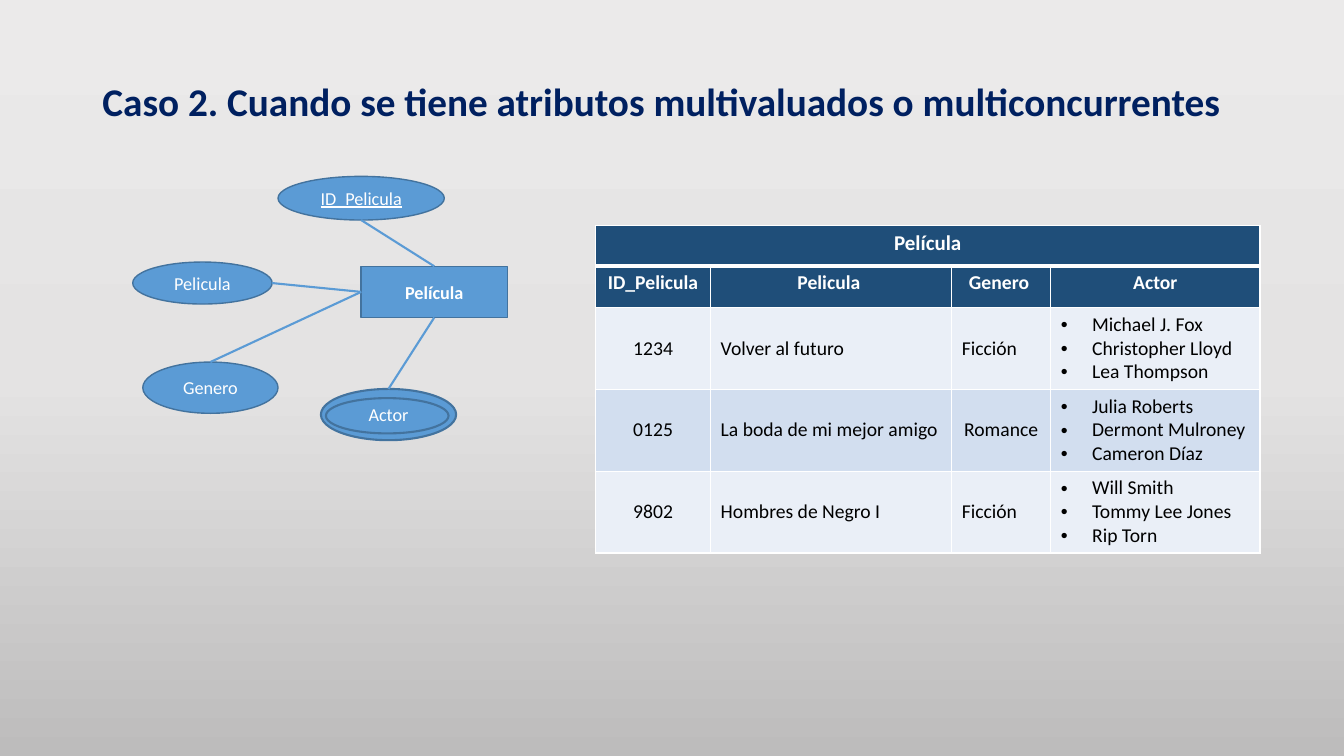
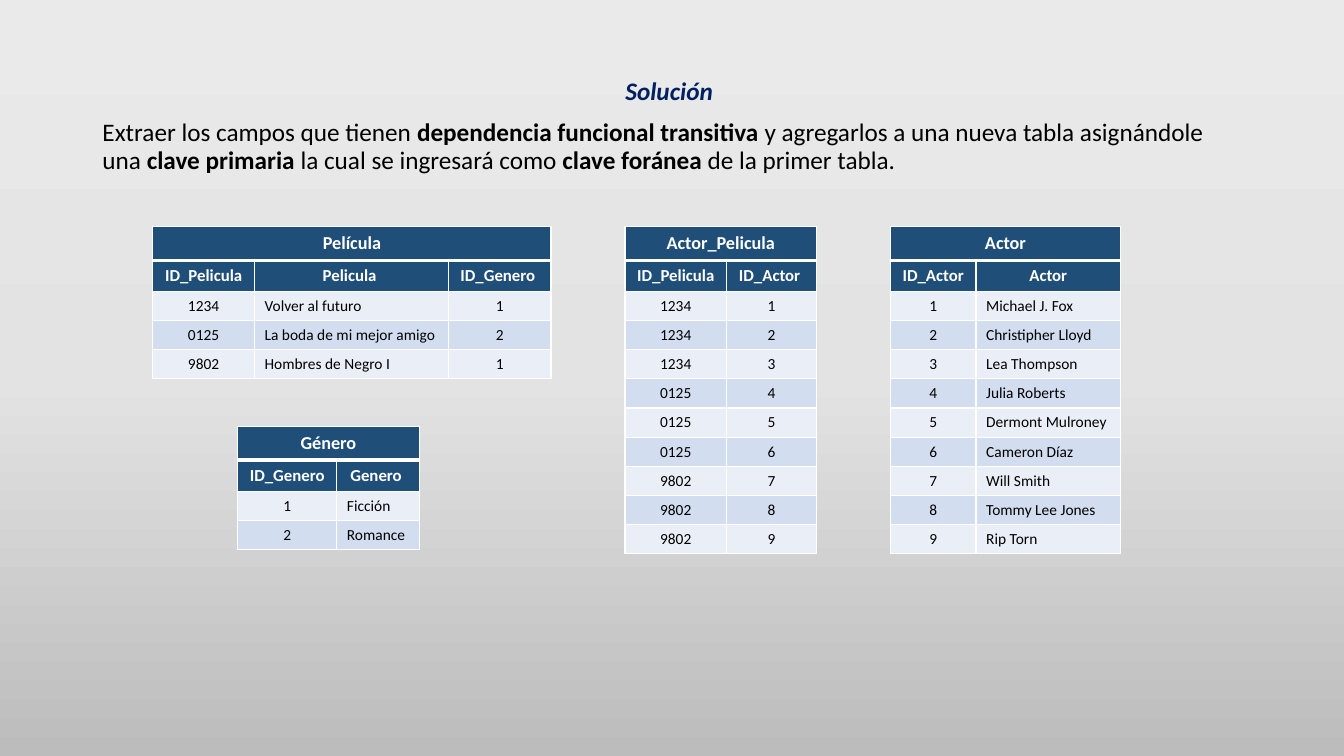
import dataclasses
import typing

import lxml.etree
import pptx
import pptx.dml.color
import pptx.enum.shapes
import pptx.enum.text
import pptx.oxml.ns
import pptx.util

qn = pptx.oxml.ns.qn
Pt = pptx.util.Pt
Shape = pptx.enum.shapes.MSO_SHAPE
Align = pptx.enum.text.PP_ALIGN
Anchor = pptx.enum.text.MSO_ANCHOR

# Shared look: a grid of 160 columns by 90 rows, colours and type
UNIT = pptx.util.Inches(13.33) / 160
SLIDE_COLUMNS, SLIDE_ROWS = 160, 90
FONT = "Calibri"
COLOURS = {
    "title": "002060", "text": "000000", "white": "FFFFFF",
    "shape": "5B9BD5", "outline": "43739E",
    "header": "1F4E79", "odd": "EAEFF7", "even": "D2DEEF",
}
BACKGROUND_STOPS = {0: "EBEAEA", 50: "E4E3E3", 100: "BDBCBC"}
TEXT_AREA_LEFT, TEXT_AREA_WIDTH, TEXT_AREA_HEIGHT = 11, 138, 15.2
PARAGRAPH = {"line_spacing": 0.9, "space_before": Pt(0)}
BULLET_INDENT = pptx.util.Inches(0.31)


@dataclasses.dataclass(frozen=True)
class Node:
    text: str
    column: float
    row: float
    columns: float
    rows: float
    shape: Shape = Shape.OVAL
    line: float = 1
    filled: bool = True
    font: dict = dataclasses.field(default_factory=dict)

    def side(self, name: str) -> tuple[float, float]:
        across, down = {"top": (0.5, 0), "left": (0, 0.5),
                        "bottom": (0.5, 1), "right": (1, 0.5)}[name]
        return self.column + across * self.columns, self.row + down * self.rows


class TableStyle(typing.NamedTuple):
    title_size: int
    header_size: int
    body_size: int
    title_rows: float
    header_rows: float
    body_rows: float


@dataclasses.dataclass(frozen=True)
class Grid:
    """A titled table; one letter per column sets body alignment."""
    title: str
    column: float
    row: float
    widths: tuple
    alignment: str
    headers: tuple
    body: tuple
    centred: tuple = ()


def units(*lengths: float) -> list[int]:
    return [round(length * UNIT) for length in lengths]


def rgb(name: str) -> pptx.dml.color.RGBColor:
    return pptx.dml.color.RGBColor.from_string(COLOURS[name])


def set_all(target: typing.Any, values: dict) -> None:
    for name, value in values.items():
        setattr(target, name, value)


def set_font(font: typing.Any, size: float, colour: str, **flags: bool) -> None:
    set_all(font, {"name": FONT, "size": Pt(size), **flags})
    font.color.rgb = rgb(colour)


def place(box: typing.Any, *area: float) -> None:
    set_all(box, dict(zip(("left", "top", "width", "height"), units(*area))))


# Background on the master
def paint_background(deck: typing.Any) -> None:
    fill = deck.slide_master.background.fill
    fill.gradient()
    fill.gradient_angle = 270
    stops = deck.slide_master.element.find(".//" + qn("a:gsLst"))
    for stop in list(stops):
        stops.remove(stop)
    for percent, colour in BACKGROUND_STOPS.items():
        stop = lxml.etree.SubElement(stops, qn("a:gs"), pos=str(percent * 1000))
        lxml.etree.SubElement(stop, qn("a:srgbClr"), val=colour)


# Entity diagram
def draw_node(page: typing.Any, node: Node) -> None:
    box = page.shapes.add_shape(
        node.shape, *units(node.column, node.row, node.columns, node.rows))
    box.shadow.inherit = False
    box.line.color.rgb = rgb("outline")
    box.line.width = Pt(node.line)
    if node.filled:
        box.fill.solid()
        box.fill.fore_color.rgb = rgb("shape")
    else:
        box.fill.background()
    if node.text:
        box.text_frame.vertical_anchor = Anchor.MIDDLE
        para = box.text_frame.paragraphs[0]
        para.alignment = Align.CENTER
        span = para.add_run()
        span.text = node.text
        set_font(span.font, 13, "white", **node.font)


def draw_link(page: typing.Any, start: tuple, end: tuple) -> None:
    link = page.shapes.add_connector(
        pptx.enum.shapes.MSO_CONNECTOR.STRAIGHT, *units(*start, *end))
    link.line.color.rgb = rgb("shape")
    link.line.width = Pt(1.5)
    lxml.etree.SubElement(link._element.spPr, qn("a:effectLst"))


# Tables
def add_bullet(para: typing.Any) -> None:
    properties = para._p.get_or_add_pPr()
    properties.set("marL", str(BULLET_INDENT))
    properties.set("indent", str(-BULLET_INDENT))
    lxml.etree.SubElement(properties, qn("a:buFont"), typeface="Arial")
    lxml.etree.SubElement(properties, qn("a:buChar"), char="•")


def paint_cell(cell: typing.Any, fill: str, bottom: float = 1) -> None:
    properties = cell._tc.get_or_add_tcPr()
    for edge, width in {"L": 1, "R": 1, "T": 1, "B": bottom}.items():
        line = lxml.etree.SubElement(
            properties, qn("a:ln" + edge), w=str(Pt(width)))
        solid = lxml.etree.SubElement(line, qn("a:solidFill"))
        lxml.etree.SubElement(solid, qn("a:srgbClr"), val=COLOURS["white"])
    cell.fill.solid()
    cell.fill.fore_color.rgb = rgb(fill)


def write_cell(cell: typing.Any, content: str | tuple, size: float, colour: str,
               centred: bool, bold: bool) -> None:
    bulleted = isinstance(content, tuple)
    for index, text in enumerate(content if bulleted else (content,)):
        frame = cell.text_frame
        para = frame.add_paragraph() if index else frame.paragraphs[0]
        if bulleted:
            add_bullet(para)
        para.alignment = Align.CENTER if centred else Align.LEFT
        span = para.add_run()
        span.text = text
        set_font(span.font, size, colour, bold=bold)


def draw_table(page: typing.Any, grid: Grid, style: TableStyle) -> None:
    heights = [style.title_rows, style.header_rows]
    heights += [style.body_rows] * len(grid.body)
    frame = page.shapes.add_table(
        len(heights), len(grid.widths),
        *units(grid.column, grid.row, sum(grid.widths), sum(heights)))
    table = frame.table
    set_all(table, {"first_row": False, "horz_banding": False})
    for column, width in zip(table.columns, units(*grid.widths)):
        column.width = width
    for row, height in zip(table.rows, units(*heights)):
        row.height = height

    for index in range(len(grid.widths)):
        paint_cell(table.cell(0, index), "header", bottom=3)
    table.cell(0, 0).merge(table.cell(0, len(grid.widths) - 1))
    write_cell(table.cell(0, 0), grid.title, style.title_size, "white", True, True)
    for index, header in enumerate(grid.headers):
        cell = table.cell(1, index)
        paint_cell(cell, "header")
        write_cell(cell, header, style.header_size, "white", True, True)
    for number, record in enumerate(grid.body):
        for index, content in enumerate(record):
            cell = table.cell(number + 2, index)
            paint_cell(cell, "even" if number % 2 else "odd")
            cell.vertical_anchor = Anchor.MIDDLE
            centred = grid.alignment[index] == "c" or content in grid.centred
            write_cell(cell, content, style.body_size, "text", centred, False)


# Content of the first slide
ENTITY = Node("Película", 43, 31.7, 17.4, 6.1, Shape.RECTANGLE, font={"bold": True})
NAME = Node("Pelicula", 15.8, 31.2, 16.6, 5)
KEY = Node("ID_Pelicula", 33.1, 21, 19.8, 5.2, font={"underline": True})
GENRE = Node("Genero", 17, 43.1, 16.1, 6.1)
ACTOR = Node("Actor", 38.2, 46.3, 16.1, 6.1, line=1.5)
ACTOR_RING = Node("", 38.8, 47.4, 14.6, 4.2, line=1.5, filled=False)
LINKS = ((KEY, "top", "bottom"), (NAME, "left", "right"),
         (ACTOR, "bottom", "top"), (GENRE, "left", "top"))

CASE_STYLE = TableStyle(15, 14, 14, 4.9, 4.9, 9.75)
CASE_TABLE = Grid(
    "Película", 70.9, 26.8, (13.7, 28.7, 11.8, 24.9), "clll",
    ("ID_Pelicula", "Pelicula ", "Genero ", "Actor"),
    (("1234", "Volver al futuro", "Ficción",
      ("Michael J. Fox", "Christopher Lloyd", "Lea Thompson")),
     ("0125", "La boda de mi mejor amigo", "Romance",
      ("Julia Roberts", "Dermont Mulroney", "Cameron Díaz")),
     ("9802", "Hombres de Negro I", "Ficción",
      ("Will Smith", "Tommy Lee Jones", "Rip Torn"))),
    centred=("Romance",))

# Content of the second slide
EXPLANATION = (
    ("Extraer los campos que tienen ", False),
    ("dependencia funcional transitiva ", True),
    ("y agregarlos a una nueva tabla asignándole una ", False),
    ("clave primaria ", True),
    ("la cual se ingresará como ", False),
    ("clave foránea ", True),
    ("de la primer tabla.", False),
)
ACTORS = ("Michael J. Fox", "Christipher Lloyd", "Lea Thompson",
          "Julia Roberts", "Dermont Mulroney", "Cameron Díaz",
          "Will Smith", "Tommy Lee Jones", "Rip Torn")
FILM_KEYS = ("1234", "0125", "9802")
ACTORS_PER_FILM = 3

SOLUTION_STYLE = TableStyle(13, 12, 11, 4, 3.7, 3.45)
SOLUTION_TABLES = (
    Grid("Película", 18.2, 27, (12.1, 23.1, 12.2), "clc",
         ("ID_Pelicula", "Pelicula ", "ID_Genero "),
         (("1234", "Volver al futuro", "1"),
          ("0125", "La boda de mi mejor amigo", "2"),
          ("9802", "Hombres de Negro I", "1"))),
    Grid("Actor", 106, 27, (10.2, 17.2), "cl", ("ID_Actor", "Actor"),
         tuple((str(number), actor) for number, actor in enumerate(ACTORS, 1))),
    Grid("Actor_Pelicula", 74.4, 27, (12.1, 10.7), "cc",
         ("ID_Pelicula", "ID_Actor "),
         tuple((FILM_KEYS[index // ACTORS_PER_FILM], str(index + 1))
               for index in range(len(ACTORS)))),
    Grid("Género", 28.3, 50.8, (11.8, 9.8), "cl", ("ID_Genero", "Genero "),
         (("1", "Ficción"), ("2", "Romance"))),
)


def build_case(deck: typing.Any) -> None:
    page = deck.slides.add_slide(deck.slide_layouts[5])
    title = page.shapes.title
    place(title, TEXT_AREA_LEFT, 4.8, TEXT_AREA_WIDTH, TEXT_AREA_HEIGHT)
    title.text_frame.text = (
        "Caso 2. Cuando se tiene atributos multivaluados o multiconcurrentes")
    set_all(title.text_frame, {"vertical_anchor": Anchor.MIDDLE, "word_wrap": True,
                               "auto_size": pptx.enum.text.MSO_AUTO_SIZE.NONE})
    para = title.text_frame.paragraphs[0]
    set_all(para, {**PARAGRAPH, "alignment": Align.LEFT})
    set_font(para.runs[0].font, 28, "title", bold=True)

    for node in (NAME, KEY, GENRE, ENTITY, ACTOR):
        draw_node(page, node)
    for node, entity_side, node_side in LINKS:
        draw_link(page, ENTITY.side(entity_side), node.side(node_side))
    draw_table(page, CASE_TABLE, CASE_STYLE)
    draw_node(page, ACTOR_RING)


def build_solution(deck: typing.Any) -> None:
    page = deck.slides.add_slide(deck.slide_layouts[1])
    empty_title = page.shapes.title.element
    empty_title.getparent().remove(empty_title)
    body = page.placeholders[1]
    place(body, TEXT_AREA_LEFT, 8.8, TEXT_AREA_WIDTH, TEXT_AREA_HEIGHT)
    frame = body.text_frame
    set_all(frame, {"vertical_anchor": Anchor.TOP, "word_wrap": True,
                    "auto_size": pptx.enum.text.MSO_AUTO_SIZE.NONE})
    heading, explanation = frame.paragraphs[0], frame.add_paragraph()
    for para, alignment in ((heading, Align.CENTER), (explanation, Align.LEFT)):
        properties = para._p.get_or_add_pPr()
        properties.set("marL", "0")
        properties.set("indent", "0")
        lxml.etree.SubElement(properties, qn("a:buNone"))
        set_all(para, {**PARAGRAPH, "alignment": alignment})
    explanation.space_before = Pt(10)

    span = heading.add_run()
    span.text = "Solución "
    set_font(span.font, 18, "title", bold=True, italic=True)
    for text, bold in EXPLANATION:
        span = explanation.add_run()
        span.text = text
        set_font(span.font, 18, "text", bold=bold)
    for grid in SOLUTION_TABLES:
        draw_table(page, grid, SOLUTION_STYLE)


def main() -> None:
    deck = pptx.Presentation()
    deck.slide_width, deck.slide_height = units(SLIDE_COLUMNS, SLIDE_ROWS)
    paint_background(deck)
    build_case(deck)
    build_solution(deck)
    deck.save("out.pptx")


if __name__ == "__main__":
    main()
